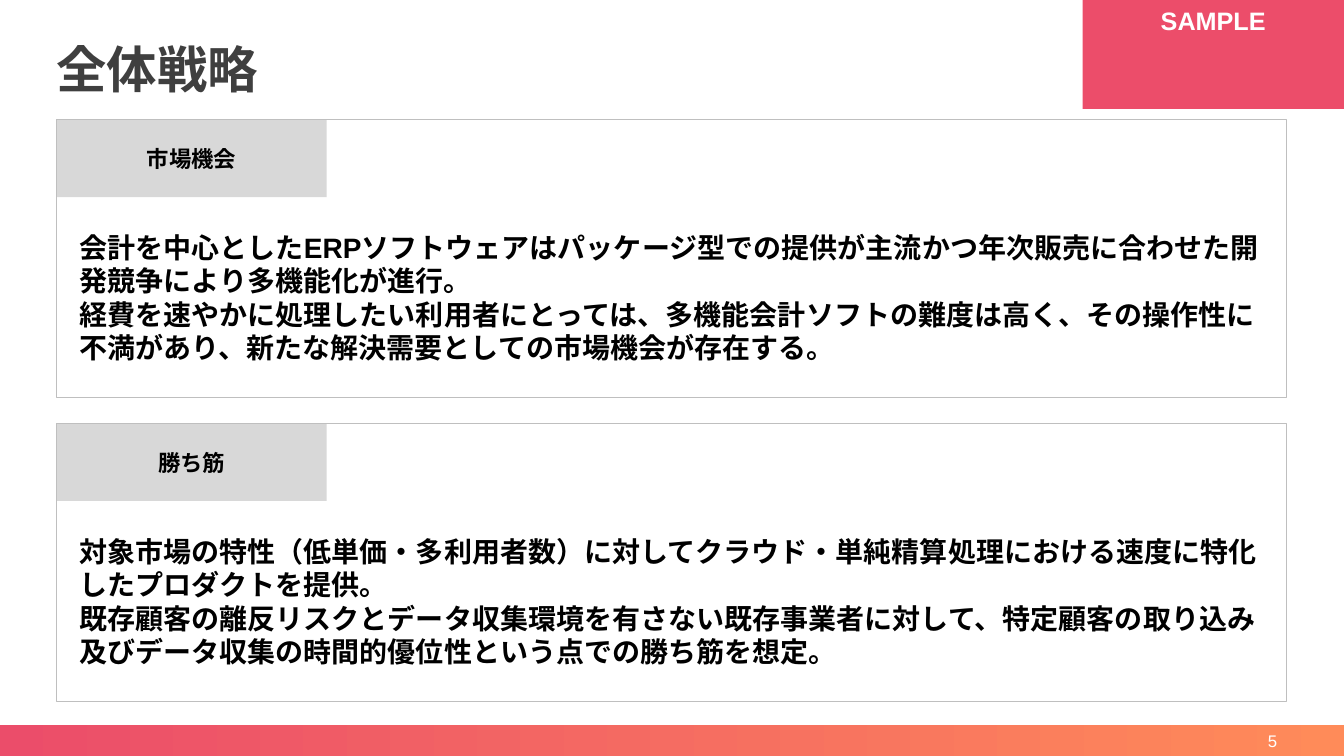
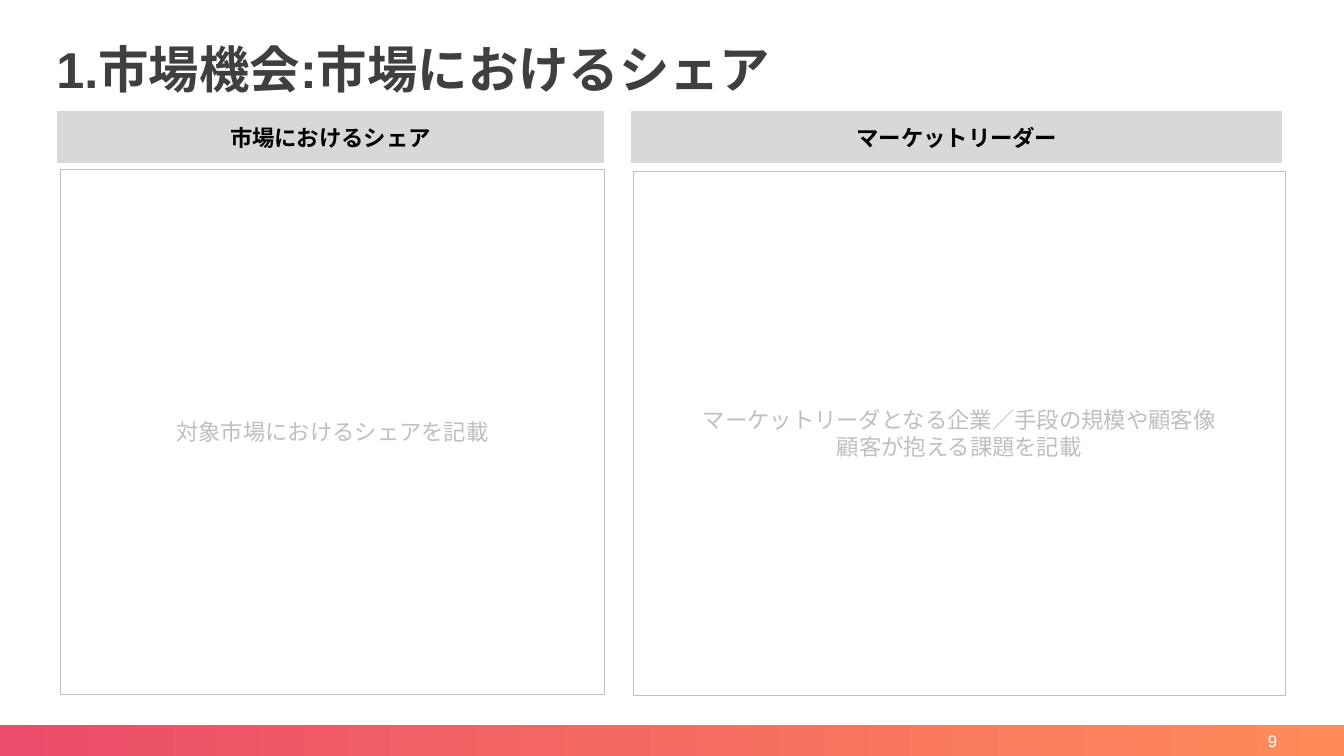
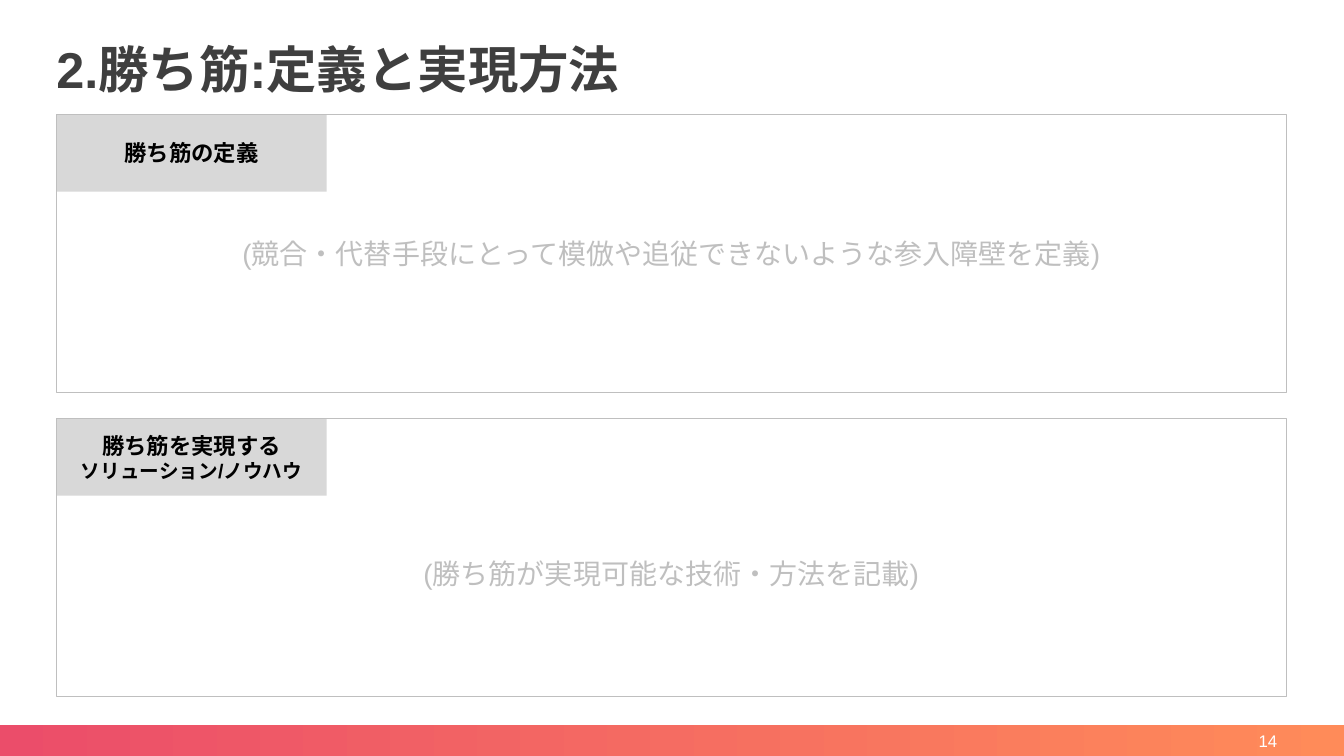
import pptx
import pptx.util
import pptx.dml.color
import pptx.enum.lang
import pptx.enum.shapes
import pptx.enum.text
import pptx.oxml
import pptx.oxml.ns
import lxml.etree

Pt = pptx.util.Pt
ALIGN = pptx.enum.text.PP_ALIGN
ANCHOR = pptx.enum.text.MSO_ANCHOR

FONT = "Arial"
INK, TITLE_INK, WHITE = "000000", "3F3F3F", "FFFFFF"
TAB_GRAY, RULE_GRAY = "D8D8D8", "BFBFBF"
ACCENT, BAND_STOPS = "EC4D6A", ("EB4D6A", "FF8B59")

STYLES = {
    "title": {"size": 36, "color": TITLE_INK, "bold": True, "align": ALIGN.LEFT,
              "anchor": ANCHOR.BOTTOM, "inset": (0, 0), "spacing": 0.9},
    "number": {"size": 12, "color": WHITE, "align": ALIGN.RIGHT},
    "ribbon": {"size": 18, "color": WHITE, "bold": True, "anchor": ANCHOR.TOP},
    "heading": {"size": 16, "bold": True},
    "statement": {"size": 20, "bold": True, "align": ALIGN.LEFT},
    "hint": {"size": 20, "color": RULE_GRAY},
    "small hint": {"size": 16, "color": RULE_GRAY},
}
DEFAULT_STYLE = {"color": INK, "bold": False, "align": ALIGN.CENTER,
                 "anchor": ANCHOR.MIDDLE, "inset": (7.2, 3.6), "spacing": None}

SLIDE_SIZE = (960, 540)
BAND = (0, 517.7, 960, 22.3)
TITLE = (40.3, 21, 878.4, 49.7)
NUMBER = (703.4, 517, 216, 24.5)
RIBBON = (773.3, 0, 186.7, 77.8)
PANEL_LEFT, PANEL_WIDTH, PANEL_HEIGHT, PANEL_PITCH = 40.3, 878.4, 198.7, 217.1
TAB_WIDTH, TAB_HEIGHT = 193, 55.4
BODY_HEIGHT = 144
HEADER_TOP, HEADER_HEIGHT, BOX_HEIGHT = 79.2, 37.4, 374.4

SLIDES = [
    {"title": "全体戦略", "number": "5", "ribbon": "SAMPLE", "panels_top": 85.4,
     "panels": [
         {"tab": [("市場機会", 16)], "style": "statement", "indent": 9.4, "middle": 127,
          "body": ["会計を中心としたERPソフトウェアはパッケージ型での提供が主流かつ年次販売に合わせた開発競争により多機能化が進行。",
                   "経費を速やかに処理したい利用者にとっては、多機能会計ソフトの難度は高く、その操作性に不満があり、新たな解決需要としての市場機会が存在する。"]},
         {"tab": [("勝ち筋", 16)], "style": "statement", "indent": 9.4, "middle": 127,
          "body": ["対象市場の特性（低単価・多利用者数）に対してクラウド・単純精算処理における速度に特化したプロダクトを提供。",
                   "既存顧客の離反リスクとデータ収集環境を有さない既存事業者に対して、特定顧客の取り込み及びデータ収集の時間的優位性という点での勝ち筋を想定。"]},
     ]},
    {"title": "1.市場機会:市場におけるシェア", "number": "9",
     "columns": [
         {"header": "市場におけるシェア", "header_span": (40.3, 391.7),
          "box_span": (43.2, 388.8), "box_top": 121.4,
          "body": ["対象市場におけるシェアを記載"]},
         {"header": "マーケットリーダー", "header_span": (450.7, 465.8),
          "box_span": (452.4, 465.8), "box_top": 122.4,
          "body": ["マーケットリーダとなる企業／手段の規模や顧客像", "顧客が抱える課題を記載"]},
     ]},
    {"title": "2.勝ち筋:定義と実現方法", "number": "14", "panels_top": 81.6,
     "panels": [
         {"tab": [("勝ち筋の定義", 16)], "style": "hint", "indent": 0, "middle": 99.4,
          "body": ["(競合・代替手段にとって模倣や追従できないような参入障壁を定義)"]},
         {"tab": [("勝ち筋を実現する", 16), ("ソリューション/ノウハウ", 14)],
          "style": "hint", "indent": 0, "middle": 111,
          "body": ["(勝ち筋が実現可能な技術・方法を記載)"]},
     ]},
]


def rgb(code):
    return pptx.dml.color.RGBColor.from_string(code)


def apply(target, values):
    for attribute, value in values.items():
        setattr(target, attribute, value)


def write(shape, lines, style_name):
    style = {**DEFAULT_STYLE, **STYLES[style_name]}
    side, edge = (Pt(inset) for inset in style["inset"])
    frame = shape.text_frame
    apply(frame, {"word_wrap": True, "vertical_anchor": style["anchor"],
                  "margin_left": side, "margin_right": side,
                  "margin_top": edge, "margin_bottom": edge})
    for index, line in enumerate(lines):
        text, size = line if isinstance(line, tuple) else (line, style["size"])
        paragraph = frame.add_paragraph() if index else frame.paragraphs[0]
        apply(paragraph, {"alignment": style["align"], "line_spacing": style["spacing"]})
        run = paragraph.add_run()
        run.text = text
        apply(run.font, {"name": FONT, "size": Pt(size), "bold": style["bold"],
                         "language_id": pptx.enum.lang.MSO_LANGUAGE_ID.JAPANESE})
        run.font.color.rgb = rgb(style["color"])
        east_asian = lxml.etree.SubElement(run.font._element, pptx.oxml.ns.qn("a:ea"))
        east_asian.set("typeface", FONT)


def add_text(slide, place, lines, style_name):
    write(slide.shapes.add_textbox(*map(Pt, place)), lines, style_name)


def add_box(slide, place, fill=None, line=None, lines=(), style_name="heading"):
    box = slide.shapes.add_shape(pptx.enum.shapes.MSO_SHAPE.RECTANGLE, *map(Pt, place))
    box.shadow.inherit = False
    if fill:
        box.fill.solid()
        box.fill.fore_color.rgb = rgb(fill)
    else:
        box.fill.background()
    if line:
        box.line.color.rgb = rgb(line)
        box.line.width = Pt(0.75)
    else:
        box.line.fill.background()
    if lines:
        write(box, lines, style_name)
    return box


def add_frame(slide, content):
    band = add_box(slide, BAND)
    band.fill.gradient()
    band.fill.gradient_angle = 0
    for position, (stop, color) in enumerate(zip(band.fill.gradient_stops, BAND_STOPS)):
        stop.color.rgb = rgb(color)
        stop.position = position
    add_text(slide, TITLE, [content["title"]], "title")
    add_text(slide, NUMBER, [content["number"]], "number")
    if "ribbon" in content:
        add_box(slide, RIBBON, ACCENT, None, [content["ribbon"]], "ribbon")


def add_panel(slide, top, panel):
    add_box(slide, (PANEL_LEFT, top, TAB_WIDTH, TAB_HEIGHT), TAB_GRAY, None, panel["tab"])
    add_box(slide, (PANEL_LEFT, top, PANEL_WIDTH, PANEL_HEIGHT), None, RULE_GRAY)
    indent = panel["indent"]
    body_top = top + panel["middle"] - BODY_HEIGHT / 2
    add_text(slide, (PANEL_LEFT + indent, body_top, PANEL_WIDTH - indent, BODY_HEIGHT),
             panel["body"], panel["style"])


def add_column(slide, column):
    left, width = column["header_span"]
    add_box(slide, (left, HEADER_TOP, width, HEADER_HEIGHT), TAB_GRAY, WHITE, [column["header"]])
    left, width = column["box_span"]
    add_box(slide, (left, column["box_top"], width, BOX_HEIGHT), None, RULE_GRAY,
            column["body"], "small hint")


def main():
    deck = pptx.Presentation()
    deck.slide_width, deck.slide_height = map(Pt, SLIDE_SIZE)
    for content in SLIDES:
        slide = deck.slides.add_slide(deck.slide_layouts[6])
        add_frame(slide, content)
        for row, panel in enumerate(content.get("panels", [])):
            add_panel(slide, content["panels_top"] + row * PANEL_PITCH, panel)
        for column in content.get("columns", []):
            add_column(slide, column)
    deck.save("out.pptx")


if __name__ == "__main__":
    main()
